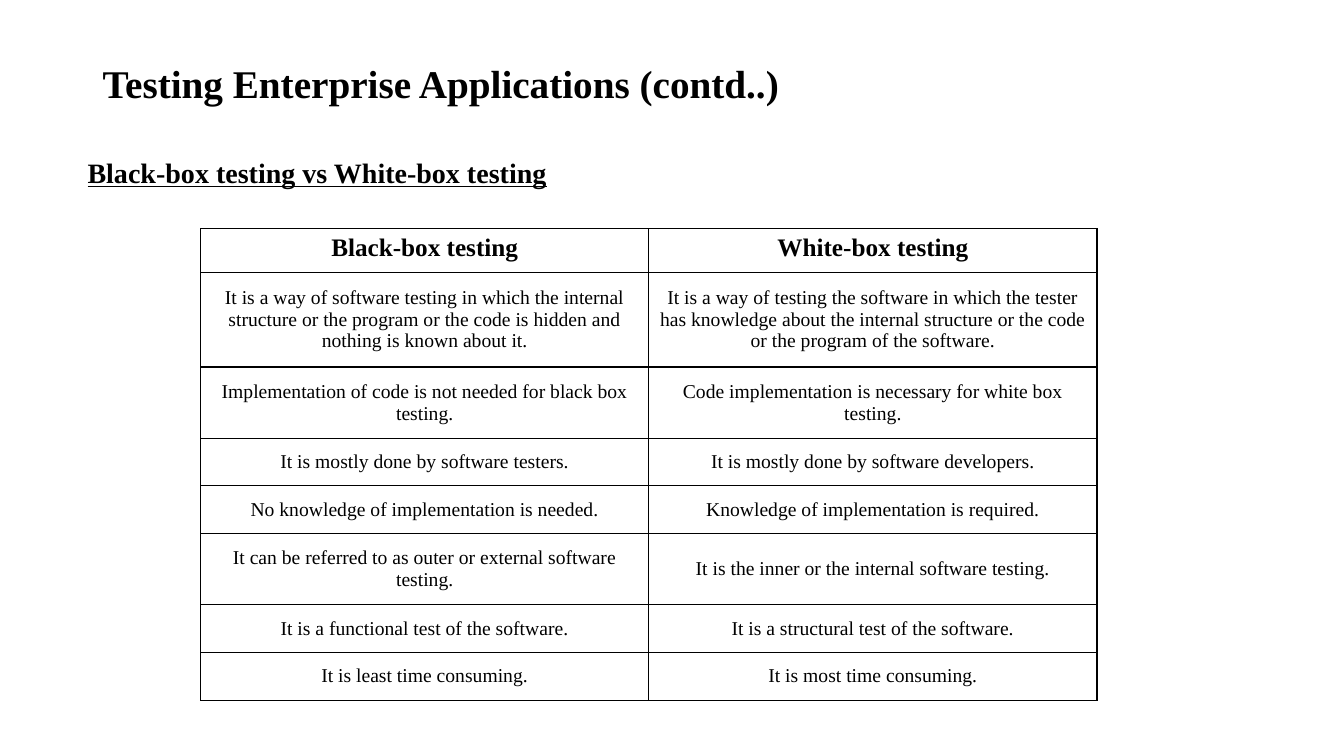
"""Build a slide comparing black-box and white-box testing."""
from lxml.etree import SubElement
from pptx import Presentation
from pptx.dml.color import RGBColor
from pptx.enum.text import MSO_ANCHOR as Anchor, PP_ALIGN as Align
from pptx.oxml.ns import qn
from pptx.util import Inches, Pt

COLORS = {"ink": "000000", "paper": "FFFFFF"}
HEADINGS = ("Black-box testing", "White-box testing")
COMPARISONS = [
    ("It is a way of software testing in which the internal structure or the program or the code is hidden and nothing is known about it.",
     "It is a way of testing the software in which the tester has knowledge about the internal structure or the code or the program of the software."),
    ("Implementation of code is not needed for black box testing.",
     "Code implementation is necessary for white box testing."),
    ("It is mostly done by software testers.",
     "It is mostly done by software developers."),
    ("No knowledge of implementation is needed.",
     "Knowledge of implementation is required."),
    ("It can be referred to as outer or external software testing.",
     "It is the inner or the internal software testing."),
    ("It is a functional test of the software.",
     "It is a structural test of the software."),
    ("It is least time consuming.",
     "It is most time consuming."),
]


def write(frame, text, size, bold=False, underline=False, align=Align.LEFT,
          line_spacing=None, space_before=0):
    paragraph = frame.paragraphs[0]
    paragraph.alignment = align
    paragraph.line_spacing = line_spacing
    paragraph.space_before = Pt(space_before)
    run = paragraph.add_run()
    run.text = text
    font = run.font
    font.name = "Times New Roman"
    font.size = Pt(size)
    font.bold = bold
    font.underline = underline
    font.color.rgb = RGBColor.from_string(COLORS["ink"])


class Deck:
    def __init__(self):
        self.presentation = Presentation()
        self.presentation.slide_width = Inches(13.33)
        self.presentation.slide_height = Inches(7.5)
        self.slide = self.presentation.slides.add_slide(self.presentation.slide_layouts[6])
        paper = self.slide.background.fill
        paper.solid()
        paper.fore_color.rgb = RGBColor.from_string(COLORS["paper"])

    def text(self, text, box, anchor=Anchor.TOP, **style):
        frame = self.slide.shapes.add_textbox(*map(Inches, box)).text_frame
        frame.word_wrap = True
        frame.vertical_anchor = anchor
        write(frame, text, line_spacing=0.9, **style)

    def borders(self, cell):
        properties = cell._tc.get_or_add_tcPr()
        for position, side in enumerate(("lnL", "lnR", "lnT", "lnB")):
            line = SubElement(properties, qn(f"a:{side}"), w=str(Pt(1)))
            fill = SubElement(line, qn("a:solidFill"))
            SubElement(fill, qn("a:srgbClr"), val=COLORS["ink"])
            properties.insert(position, line)

    def table(self, headings, rows, box, row_height):
        contents = [headings, *rows]
        holder = self.slide.shapes.add_table(len(contents), len(headings), *map(Inches, box))
        table = holder.table
        for r, texts in enumerate(contents):
            table.rows[r].height = Inches(row_height)
            for c, text in enumerate(texts):
                cell = table.cell(r, c)
                cell.fill.background()
                self.borders(cell)
                if r:
                    cell.vertical_anchor = Anchor.MIDDLE
                    cell.margin_left = cell.margin_right = Inches(0.08)
                    cell.margin_top = cell.margin_bottom = Inches(0.12)
                write(cell.text_frame, text, 14 if r else 18, bold=not r, align=Align.CENTER)
        holder.height = Inches(box[3])


def main():
    deck = Deck()
    deck.text("Testing Enterprise Applications (contd..)", (0.92, 0.4, 11.5, 0.9),
              anchor=Anchor.MIDDLE, size=28, bold=True)
    deck.text("Black-box testing vs White-box testing", (0.77, 1.53, 11.5, 5.23),
              size=20, bold=True, underline=True, space_before=10)
    deck.table(HEADINGS, COMPARISONS, (1.99, 2.27, 8.89, 4.63), 0.43)
    deck.presentation.save("out.pptx")


if __name__ == "__main__":
    main()
